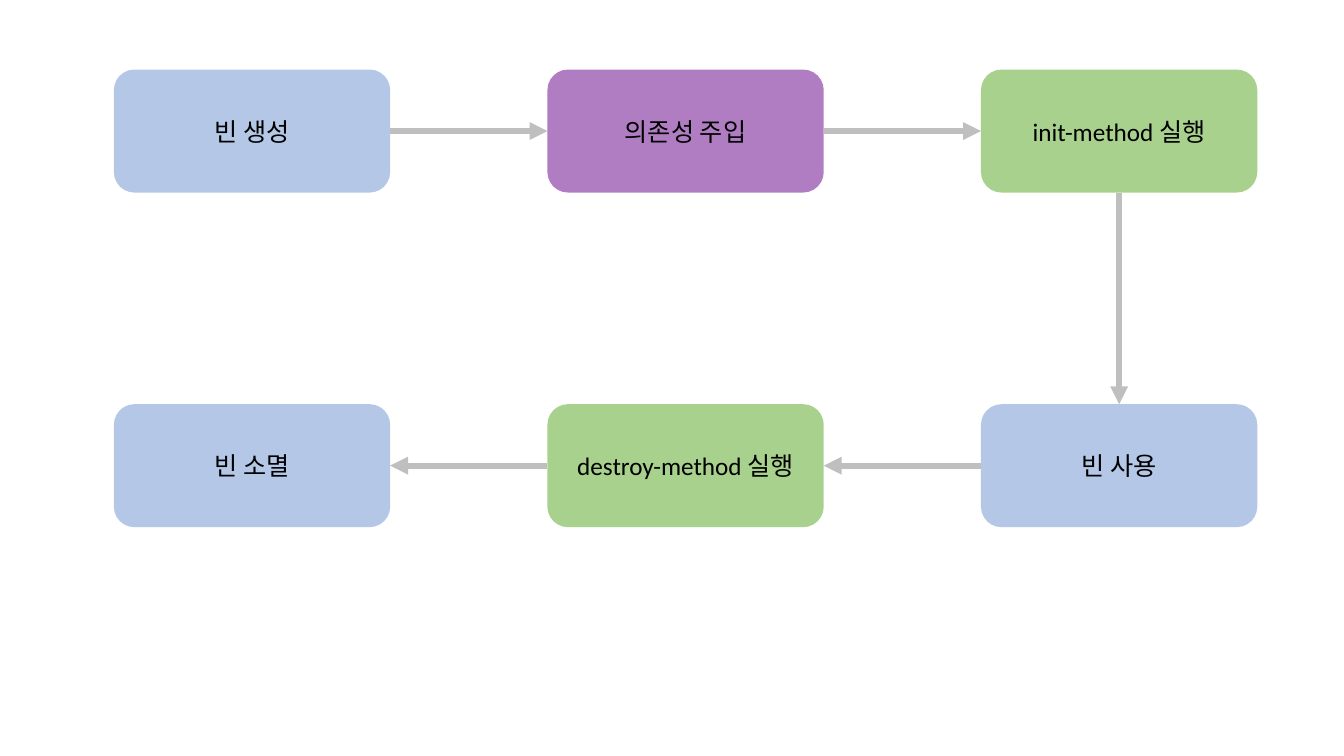
from lxml import etree
from pptx import Presentation
from pptx.dml.color import RGBColor
from pptx.enum.shapes import MSO_CONNECTOR, MSO_SHAPE
from pptx.enum.text import MSO_ANCHOR, PP_ALIGN
from pptx.oxml.ns import qn
from pptx.util import Inches, Pt

ROUNDED = MSO_SHAPE.ROUNDED_RECTANGLE
STRAIGHT = MSO_CONNECTOR.STRAIGHT
MIDDLE = MSO_ANCHOR.MIDDLE
CENTER = PP_ALIGN.CENTER

BLUE = RGBColor(0xB4, 0xC7, 0xE7)
PURPLE = RGBColor(0xB0, 0x7D, 0xC3)
GREEN = RGBColor(0xA9, 0xD1, 0x8E)
GRAY = RGBColor(0xBF, 0xBF, 0xBF)
BLACK = RGBColor(0, 0, 0)

TOP, LEFT, BOTTOM, RIGHT = range(4)

STEPS = [
    ("빈 생성", 0, 0, BLUE),
    ("의존성 주입", 1, 0, PURPLE),
    ("init-method 실행", 2, 0, GREEN),
    ("빈 사용", 2, 1, BLUE),
    ("destroy-method 실행", 1, 1, GREEN),
    ("빈 소멸", 0, 1, BLUE),
]
ARROW_SIDES = [
    (RIGHT, LEFT),
    (RIGHT, LEFT),
    (BOTTOM, TOP),
    (LEFT, RIGHT),
    (LEFT, RIGHT),
]


class LifecycleSlide:
    origin = (1.13, 0.69)
    pitch = (4.3, 3.32)
    step_size = (2.74, 1.22)
    font_format = {"name": "Calibri", "size": Pt(18)}
    frame_format = {"word_wrap": False, "vertical_anchor": MIDDLE}
    arrow_width = Pt(4.25)

    def __init__(self, slide):
        self.shapes = slide.shapes

    def apply(self, target, values):
        for key, value in values.items():
            setattr(target, key, value)

    def step(self, label, column, row, color):
        left, top = (
            Inches(start + index * gap)
            for start, index, gap in zip(self.origin, (column, row), self.pitch)
        )
        width, height = map(Inches, self.step_size)
        box = self.shapes.add_shape(ROUNDED, left, top, width, height)
        box.shadow.inherit = False
        box.fill.solid()
        box.fill.fore_color.rgb = color
        box.line.fill.background()
        frame = box.text_frame
        self.apply(frame, self.frame_format)
        paragraph = frame.paragraphs[0]
        paragraph.alignment = CENTER
        run = paragraph.add_run()
        run.text = label
        self.apply(run.font, self.font_format)
        run.font.color.rgb = BLACK
        return box

    def arrow(self, source, source_side, target, target_side):
        link = self.shapes.add_connector(STRAIGHT, 0, 0, 0, 0)
        link.begin_connect(source, source_side)
        link.end_connect(target, target_side)
        link.line.color.rgb = GRAY
        link.line.width = self.arrow_width
        outline = link.line._get_or_add_ln()
        etree.SubElement(outline, qn("a:tailEnd"), type="triangle")
        properties = link._element.spPr
        etree.SubElement(properties, qn("a:effectLst"))


def main():
    deck = Presentation()
    deck.slide_width, deck.slide_height = Inches(13.33), Inches(7.5)
    lifecycle = LifecycleSlide(deck.slides.add_slide(deck.slide_layouts[6]))
    boxes = [lifecycle.step(*step) for step in STEPS]
    for source, target, (leave, enter) in zip(boxes, boxes[1:], ARROW_SIDES):
        lifecycle.arrow(source, leave, target, enter)
    deck.save("out.pptx")


if __name__ == "__main__":
    main()
